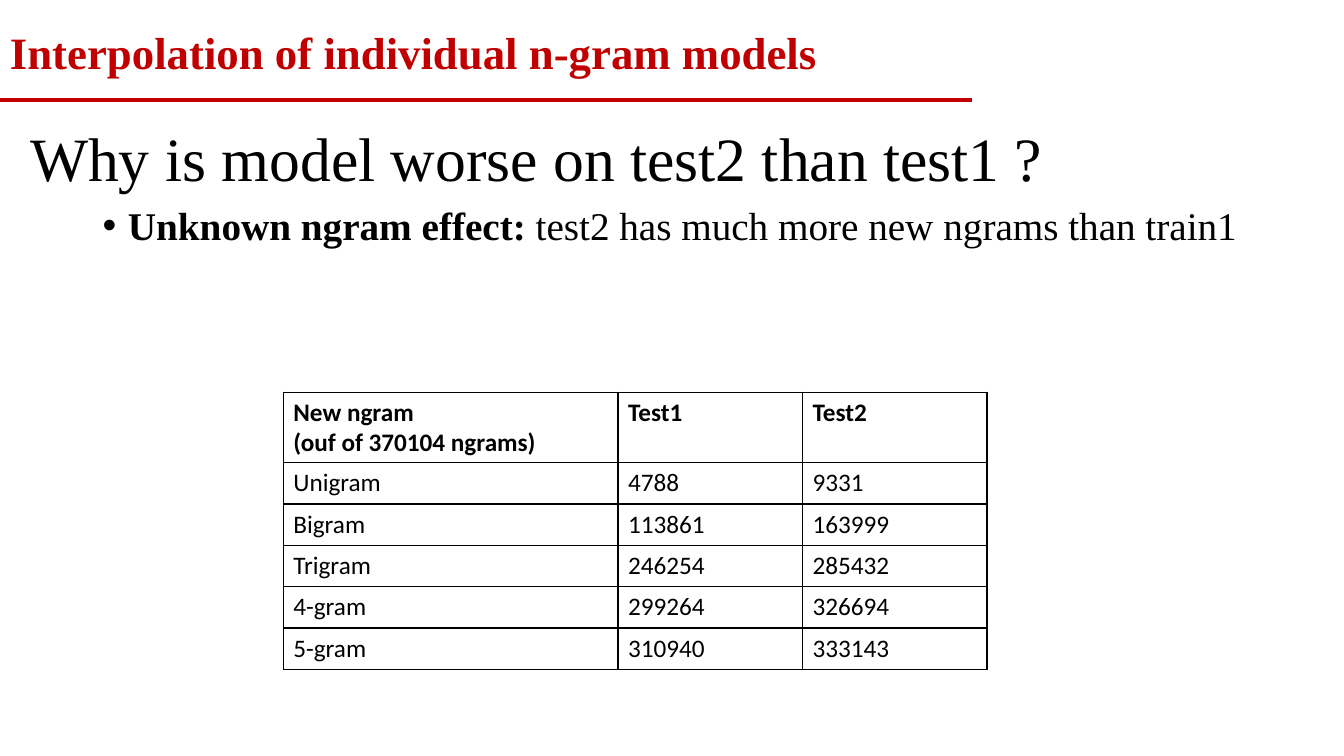
from lxml.etree import SubElement
from pptx import Presentation
from pptx.dml.color import RGBColor
from pptx.enum.shapes import MSO_CONNECTOR as Connector
from pptx.enum.text import MSO_ANCHOR as Anchor
from pptx.oxml.ns import qn
from pptx.util import Inches, Pt

HEADING = "Interpolation of individual n-gram models"
QUESTION = "Why is model worse on test2 than test1 ?"
REASON = ("Unknown ngram effect:", " test2 has much more new ngrams than train1")
COUNTS = [
    ("New ngram\v(ouf of 370104 ngrams)", "Test1", "Test2"),
    ("Unigram", "4788", "9331"),
    ("Bigram", "113861", "163999"),
    ("Trigram", "246254", "285432"),
    ("4-gram", "299264", "326694"),
    ("5-gram", "310940", "333143"),
]
COLUMN_WIDTHS = (3.32, 1.83, 1.83)
HEADER_HEIGHT, ROW_HEIGHT = 0.68, 0.41
TABLE_LEFT, TABLE_TOP = 2.81, 3.89
RULE_WIDTH, RULE_TOP = 9.64, 0.99
BLACK, RED = "000000", "C00000"
SERIF, SANS = "Times New Roman", "Calibri"


def color(value):
    return RGBColor.from_string(value)


def set_font(paragraph, name, size, value, bold=None):
    font = paragraph.font
    font.name, font.size, font.bold = name, Pt(size), bold
    font.color.rgb = color(value)


def add_text(slide, box, parts, size, value=BLACK, bold=None, wrap=True):
    shape = slide.shapes.add_textbox(*map(Inches, box))
    shape.text_frame.word_wrap = wrap
    paragraph = shape.text_frame.paragraphs[0]
    for part in parts:
        paragraph.add_run().text = part
    set_font(paragraph, SERIF, size, value, bold)
    return shape, paragraph


def add_bullet(paragraph, indent):
    properties = paragraph._p.get_or_add_pPr()
    properties.set("marL", str(Inches(indent)))
    properties.set("indent", str(Inches(-indent)))
    bullet_font = properties.makeelement(qn("a:buFont"), {"typeface": "Arial"})
    bullet = properties.makeelement(qn("a:buChar"), {"char": "•"})
    properties.insert(0, bullet_font)
    properties.insert(1, bullet)


def add_borders(cell, value, width):
    properties = cell._tc.get_or_add_tcPr()
    for position, side in enumerate(("lnL", "lnR", "lnT", "lnB")):
        border = properties.makeelement(qn(f"a:{side}"), {"w": str(Pt(width))})
        fill = SubElement(border, qn("a:solidFill"))
        SubElement(fill, qn("a:srgbClr"), val=value)
        properties.insert(position, border)


def add_counts(slide):
    heights = [HEADER_HEIGHT] + [ROW_HEIGHT] * (len(COUNTS) - 1)
    box = (TABLE_LEFT, TABLE_TOP, sum(COLUMN_WIDTHS), sum(heights))
    table = slide.shapes.add_table(
        len(COUNTS), len(COLUMN_WIDTHS), *map(Inches, box)).table
    table.horz_banding = False
    for column, width in zip(table.columns, COLUMN_WIDTHS):
        column.width = Inches(width)
    for row_index, (row, height) in enumerate(zip(table.rows, heights)):
        row.height = Inches(height)
        for cell, text in zip(row.cells, COUNTS[row_index]):
            paragraph = cell.text_frame.paragraphs[0]
            paragraph.text = text
            set_font(paragraph, SANS, 18, BLACK, row_index == 0)
            cell.fill.background()
            add_borders(cell, BLACK, 1)


def main():
    presentation = Presentation()
    presentation.slide_width = Inches(13.33)
    presentation.slide_height = Inches(7.5)
    slide = presentation.slides.add_slide(presentation.slide_layouts[6])

    rule = slide.shapes.add_connector(
        Connector.STRAIGHT, 0, Inches(RULE_TOP), Inches(RULE_WIDTH), Inches(RULE_TOP))
    rule.line.color.rgb = color(RED)
    rule.line.width = Pt(3)
    SubElement(rule._element.spPr, qn("a:effectLst"))

    question, paragraph = add_text(slide, (0.2, 0.88, 11.5, 1.45), [QUESTION], 44)
    question.text_frame.vertical_anchor = Anchor.MIDDLE
    paragraph.line_spacing = 0.9

    add_counts(slide)

    reason, paragraph = add_text(slide, (0.92, 2, 11.5, 1.25), REASON, 28)
    add_bullet(paragraph, 0.25)
    paragraph.line_spacing = 0.9
    paragraph.runs[0].font.bold = True

    add_text(slide, (0, 0.2, 8.27, 0.64), [HEADING], 32, RED, True, wrap=False)

    presentation.save("out.pptx")


if __name__ == "__main__":
    main()
